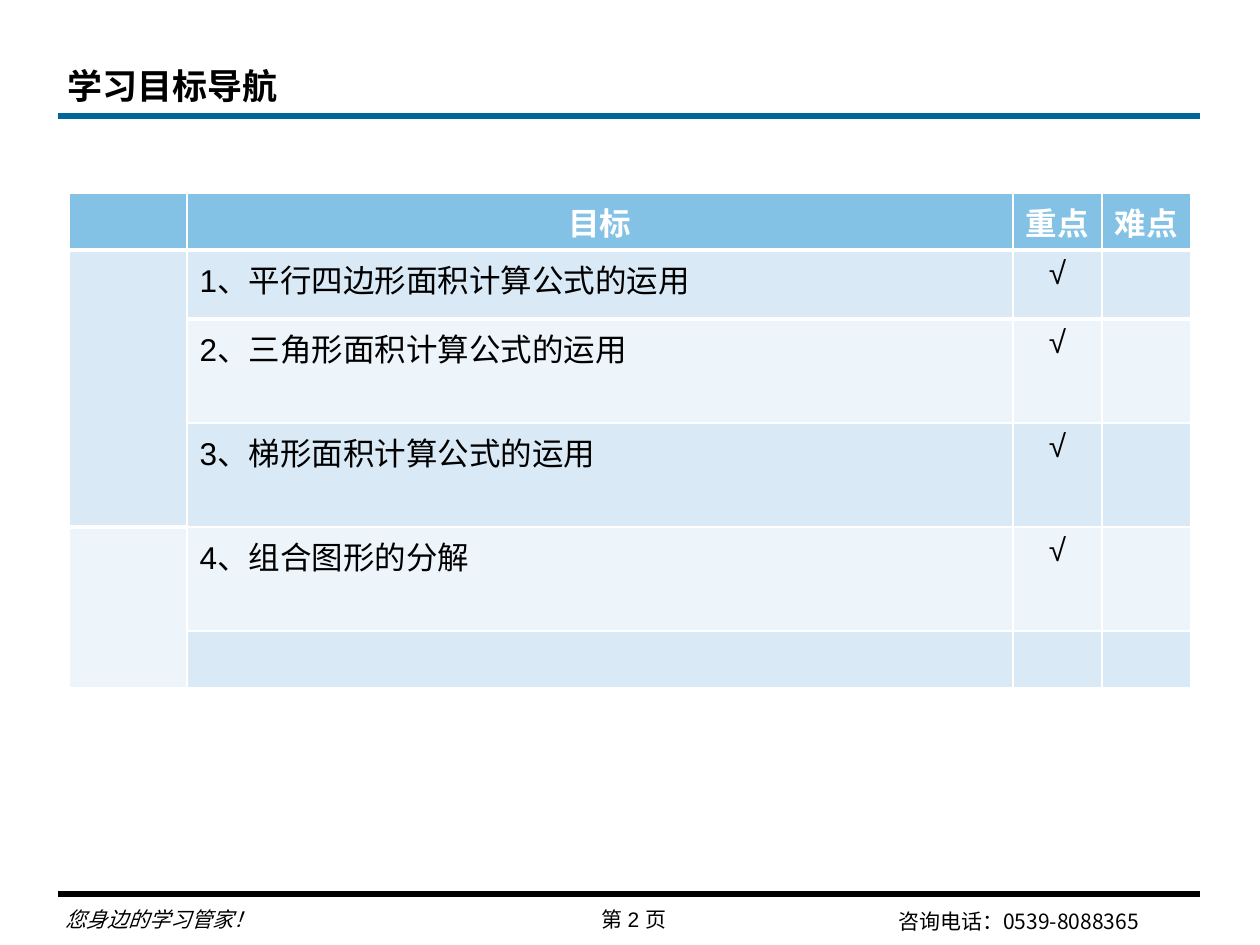
from dataclasses import dataclass

from lxml.etree import SubElement
from pptx import Presentation
from pptx.dml.color import RGBColor as RGB
from pptx.enum.shapes import MSO_CONNECTOR as CONNECTOR
from pptx.enum.text import MSO_ANCHOR as ANCHOR, PP_ALIGN as ALIGN
from pptx.oxml import parse_xml
from pptx.oxml.ns import nsdecls, qn
from pptx.util import Pt


@dataclass(frozen=True)
class Theme:
    black: RGB = RGB.from_string("000000")
    white: RGB = RGB.from_string("FFFFFF")
    rule: RGB = RGB.from_string("006699")
    header: RGB = RGB.from_string("83C2E5")
    bands: tuple = (RGB.from_string("D9E9F5"), RGB.from_string("EDF4FA"))
    latin: str = "Arial"
    cjk: str = "Noto Sans CJK SC"
    title_size: int = 20
    table_size: int = 18
    footer_size: int = 12
    rule_width: int = 3


theme = Theme()


def px(value):
    return round(value * 914400 / 126)


def write(frame, text, size, name, color=theme.black, align=ALIGN.LEFT, bold=False, italic=False):
    para = frame.paragraphs[0]
    para.text = text
    para.alignment = align
    font = para.font
    font.name, font.size, font.bold, font.italic = name, Pt(size), bold, italic
    font.color.rgb = color
    SubElement(font._element, qn("a:ea")).set("typeface", theme.cjk)


deck = Presentation()
deck.slide_width, deck.slide_height = px(1260), px(945)
page = deck.slides.add_slide(deck.slide_layouts[5])

title = page.shapes.title
title.left, title.top, title.width, title.height = px(55), px(33), px(1000), px(80)
title.text_frame.vertical_anchor = ANCHOR.BOTTOM
write(title.text_frame, "学习目标导航", theme.title_size, theme.cjk, bold=True)

for y, color in ((116, theme.rule), (894, theme.black)):
    rule = page.shapes.add_connector(CONNECTOR.STRAIGHT, px(58), px(y), px(1200), px(y))
    rule.line.color.rgb = color
    rule.line.width = Pt(theme.rule_width)
    SubElement(rule._element.spPr, qn("a:effectLst"))

footers = (
    ("您身边的学习管家！", 53, 894, 302, 44, theme.cjk, ALIGN.LEFT, True),
    ("第 2 页", 560, 900, 148, 38, theme.latin, ALIGN.CENTER, False),
    ("咨询电话：0539-8088365", 886, 896, 302, 44, theme.cjk, ALIGN.LEFT, False),
)
for text, left, top, width, height, name, align, italic in footers:
    box = page.shapes.add_textbox(px(left), px(top), px(width), px(height))
    box.text_frame.word_wrap = True
    box.text_frame.vertical_anchor = ANCHOR.BOTTOM
    write(box.text_frame, text, theme.footer_size, name, align=align, italic=italic)

rows = (
    ("", "目标", "重点", "难点"),
    ("", "1、平行四边形面积计算公式的运用", "√", ""),
    ("", "2、三角形面积计算公式的运用", "√", ""),
    ("", "3、梯形面积计算公式的运用", "√", ""),
    ("", "4、组合图形的分解", "√", ""),
    ("", "", "", ""),
)
widths = (118, 826, 89, 89)
heights = (57, 69, 104, 104, 104, 57)
table = page.shapes.add_table(
    len(rows), len(widths), px(69), px(193), px(sum(widths)), px(sum(heights))
).table
for column, width in zip(table.columns, widths):
    column.width = px(width)
for row, height in zip(table.rows, heights):
    row.height = px(height)

for r, texts in enumerate(rows):
    is_header = r == 0
    for c, text in enumerate(texts):
        cell = table.cell(r, c)
        cell.fill.solid()
        cell.fill.fore_color.rgb = theme.header if is_header else theme.bands[(r - 1) % 2]
        if r < 2:
            side = "lnB" if is_header else "lnT"
            cell._tc.get_or_add_tcPr().insert(0, parse_xml(
                f'<a:{side} {nsdecls("a")} w="{Pt(theme.rule_width)}"><a:solidFill>'
                f'<a:srgbClr val="{theme.white}"/></a:solidFill></a:{side}>'
            ))
        if text:
            write(
                cell.text_frame, text, theme.table_size, theme.latin,
                color=theme.white if is_header else theme.black,
                align=ALIGN.CENTER if is_header or c > 1 else ALIGN.LEFT,
                bold=is_header,
            )

for first, last in ((1, 3), (4, 5)):
    table.cell(first, 0).merge(table.cell(last, 0))

deck.save("out.pptx")
